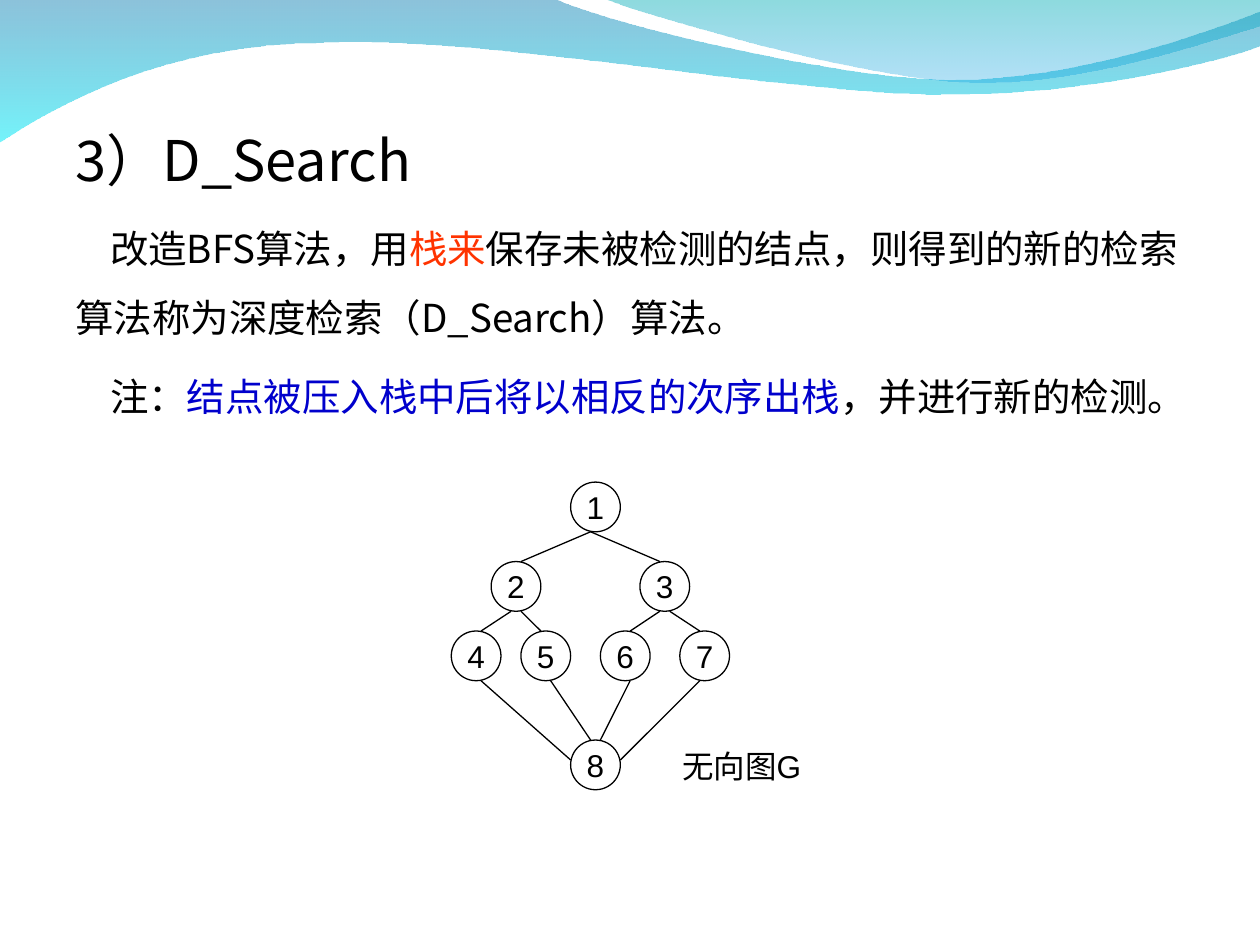
from lxml import etree
from pptx import Presentation
from pptx.dml.color import RGBColor
from pptx.enum.shapes import MSO_CONNECTOR as Connector, MSO_SHAPE as Shape
from pptx.enum.text import MSO_ANCHOR as Anchor, PP_ALIGN as Align
from pptx.oxml.ns import qn
from pptx.util import Pt

BLACK, RED, BLUE = "000000", "FF3300", "0000CC"


def colour(hex_code):
    return RGBColor.from_string(hex_code)


class Deck:
    body_font, label_font = "Noto Sans CJK SC", "Arial"
    label_size, line_width = 18, 0.75

    def __init__(self, width, height):
        self.file = Presentation()
        self.file.slide_width, self.file.slide_height = Pt(width), Pt(height)
        self.slide = self.file.slides.add_slide(self.file.slide_layouts[6])

    def style(self, run, size, font, hex_code=BLACK):
        run.font.size, run.font.name = Pt(size), font
        run.font.color.rgb = colour(hex_code)
        east_asian = etree.SubElement(run.font._element, qn("a:ea"))
        east_asian.set("typeface", self.body_font)

    def wave(self, start, segments, stops):
        """A segment holds one point (line) or three (cubic curve)."""
        builder = self.slide.shapes.build_freeform(Pt(start[0]), Pt(start[1]))
        builder.add_line_segments([(Pt(x), Pt(y)) for segment in segments for x, y in segment])
        shape = builder.convert_to_shape()
        steps = iter(list(shape._element.iter(qn("a:lnTo"))))
        for segment in segments:
            first = next(steps)
            if len(segment) == 3:
                first.tag = qn("a:cubicBezTo")
                for _ in range(2):
                    step = next(steps)
                    first.append(step[0])
                    step.getparent().remove(step)
        shape.shadow.inherit = False
        shape.line.fill.background()
        shape.fill.gradient()
        shape.fill.gradient_angle = 270
        for stop, (position, hex_code, opacity) in zip(shape.fill.gradient_stops, stops):
            stop.position, stop.color.rgb = position, colour(hex_code)
            rgb = stop._gs.find(qn("a:srgbClr"))
            etree.SubElement(rgb, qn("a:alpha")).set("val", str(opacity * 1000))

    def text(self, left, top, width, height):
        frame = self.slide.shapes.add_textbox(Pt(left), Pt(top), Pt(width), Pt(height)).text_frame
        frame.word_wrap = True
        return frame

    def body(self, box, paragraphs):
        frame = self.text(*box)
        for index, (size, indent, pieces) in enumerate(paragraphs):
            paragraph = frame.add_paragraph() if index else frame.paragraphs[0]
            paragraph.line_spacing = 1.5
            paragraph.space_before = Pt(5.5 if index else 0)
            paragraph._p.get_or_add_pPr().set("indent", str(Pt(indent)))
            for words, hex_code in pieces:
                run = paragraph.add_run()
                run.text = words
                self.style(run, size, self.body_font, hex_code)

    def label(self, box, words):
        frame = self.text(*box)
        frame.text = words
        self.style(frame.paragraphs[0].runs[0], self.label_size, self.label_font)

    def node(self, centre, size, words):
        x, y = centre
        circle = self.slide.shapes.add_shape(
            Shape.OVAL, Pt(x - size / 2), Pt(y - size / 2), Pt(size), Pt(size))
        circle.shadow.inherit = False
        circle.fill.background()
        circle.line.color.rgb, circle.line.width = colour(BLACK), Pt(self.line_width)
        frame = circle.text_frame
        frame.text, frame.word_wrap, frame.vertical_anchor = words, False, Anchor.MIDDLE
        frame.paragraphs[0].alignment = Align.CENTER
        self.style(frame.paragraphs[0].runs[0], self.label_size, self.label_font)

    def edge(self, start, end):
        line = self.slide.shapes.add_connector(
            Connector.STRAIGHT, *(Pt(value) for value in (*start, *end)))
        line.line.color.rgb, line.line.width = colour(BLACK), Pt(self.line_width)
        etree.SubElement(line._element.spPr, qn("a:effectLst"))


def main():
    deck = Deck(720, 540)

    # Waves along the top
    deck.wave((0, -0.7),
              [[(316.8, -0.7)],
               [(342.7, 12.2), (478, 45.4), (545.8, 45.4)],
               [(614.2, 45.4), (689.8, 18.7), (720, 6.5)],
               [(720.7, 25.9)],
               [(707.8, 31.7), (626.4, 54.7), (537.1, 54)],
               [(447.8, 54), (275, 20.2), (185, 24.5)],
               [(92.9, 25.2), (33.1, 59.8), (-0.7, 81.4)]],
              [(0, "0079AF", 45), (1, "00EBF8", 55)])
    deck.wave((344.9, -0.7),
              [[(366.5, 7.9), (491, 44.6), (553.7, 46.8)],
               [(616.3, 49.7), (691.9, 23), (720, 15.1)],
               [(720, -0.7)]],
              [(0, "00ADB6", 45), (1, "009BE5", 30)])

    # Heading and explanation
    deck.body((36, 48.8, 658.8, 434), [
        (32, 0, [("3）D_Search", BLACK)]),
        (22, 19.8, [("改造BFS算法，用", BLACK), ("栈来", RED),
                    ("保存未被检测的结点，则得到的新的检索算法称为深度检索（D_Search）算法。", BLACK)]),
        (22, 19.8, [("注：", BLACK), ("结点被压入栈中后将以相反的次序出栈", BLUE),
                    ("，并进行新的检测。", BLACK)]),
    ])

    # Graph nodes
    diameter, lean = 28.4, 2.8
    radius = diameter / 2
    rows = [(289.7, [340.3]), (335.1, [294.9, 379.9]),
            (374.8, [272.1, 311.9, 357.3, 402.7]), (437.1, [340.3])]
    centres = [(x, y) for y, row in rows for x in row]
    for number, centre in enumerate(centres, 1):
        deck.node(centre, diameter, str(number))

    # Graph edges lean towards each other; the outer two meet node 8 at its sides
    fixed_starts = {1: -lean, 6: lean}
    for parent, child in [(1, 2), (1, 3), (2, 4), (2, 5), (3, 6), (3, 7),
                          (4, 8), (5, 8), (6, 8), (7, 8)]:
        (x1, y1), (x2, y2) = centres[parent - 1], centres[child - 1]
        side = 1 if x2 > x1 else -1
        start_shift = fixed_starts.get(parent, side * lean)
        end = (x2 - side * lean, y2 - radius)
        if parent in (4, 7):
            end = (x2 - side * radius, y2 - lean)
        deck.edge((x1 + start_shift, y1 + radius), end)

    # Caption
    deck.label((382.8, 423.2, 96.5, 29), "无向图G")

    deck.file.save("out.pptx")


if __name__ == "__main__":
    main()
